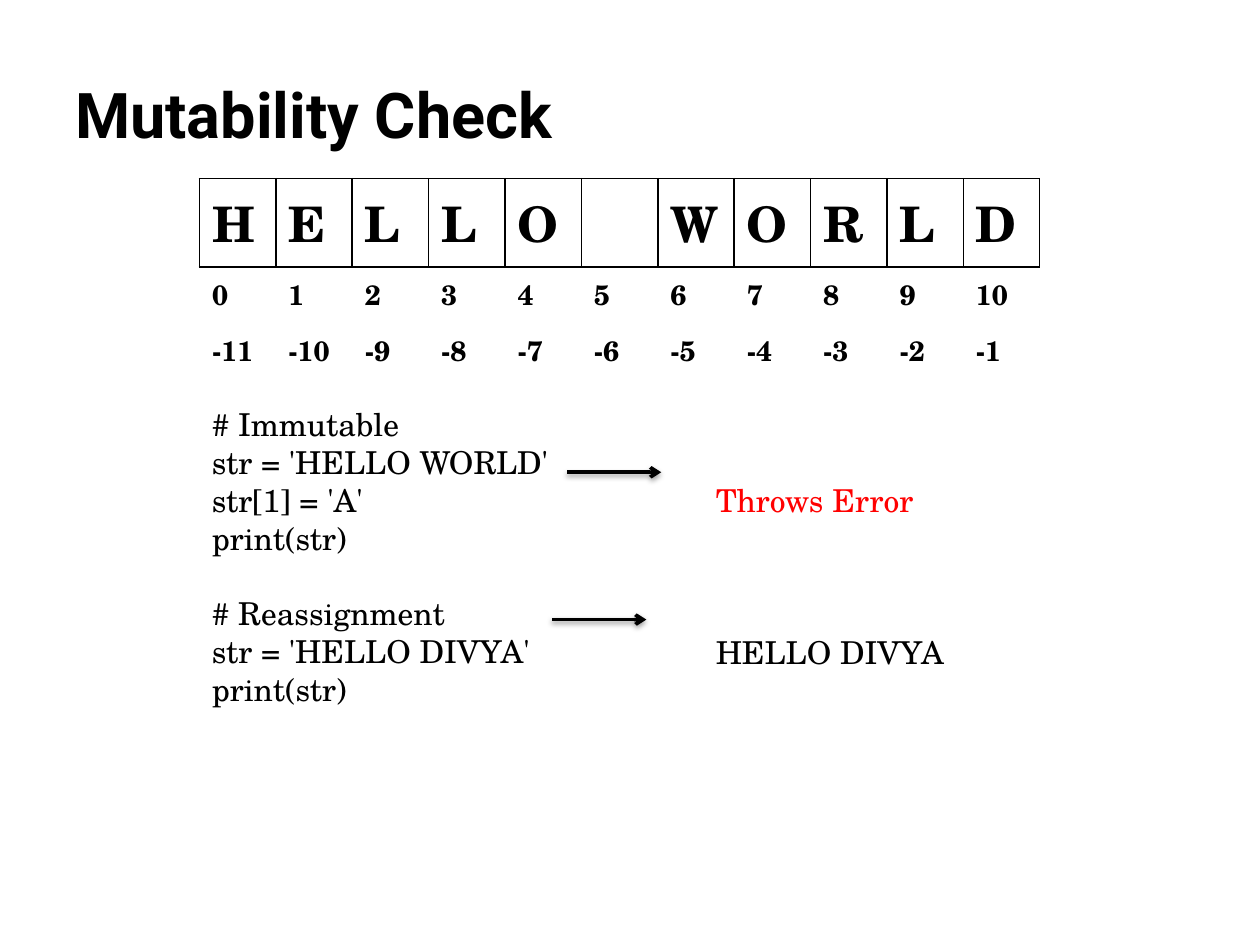
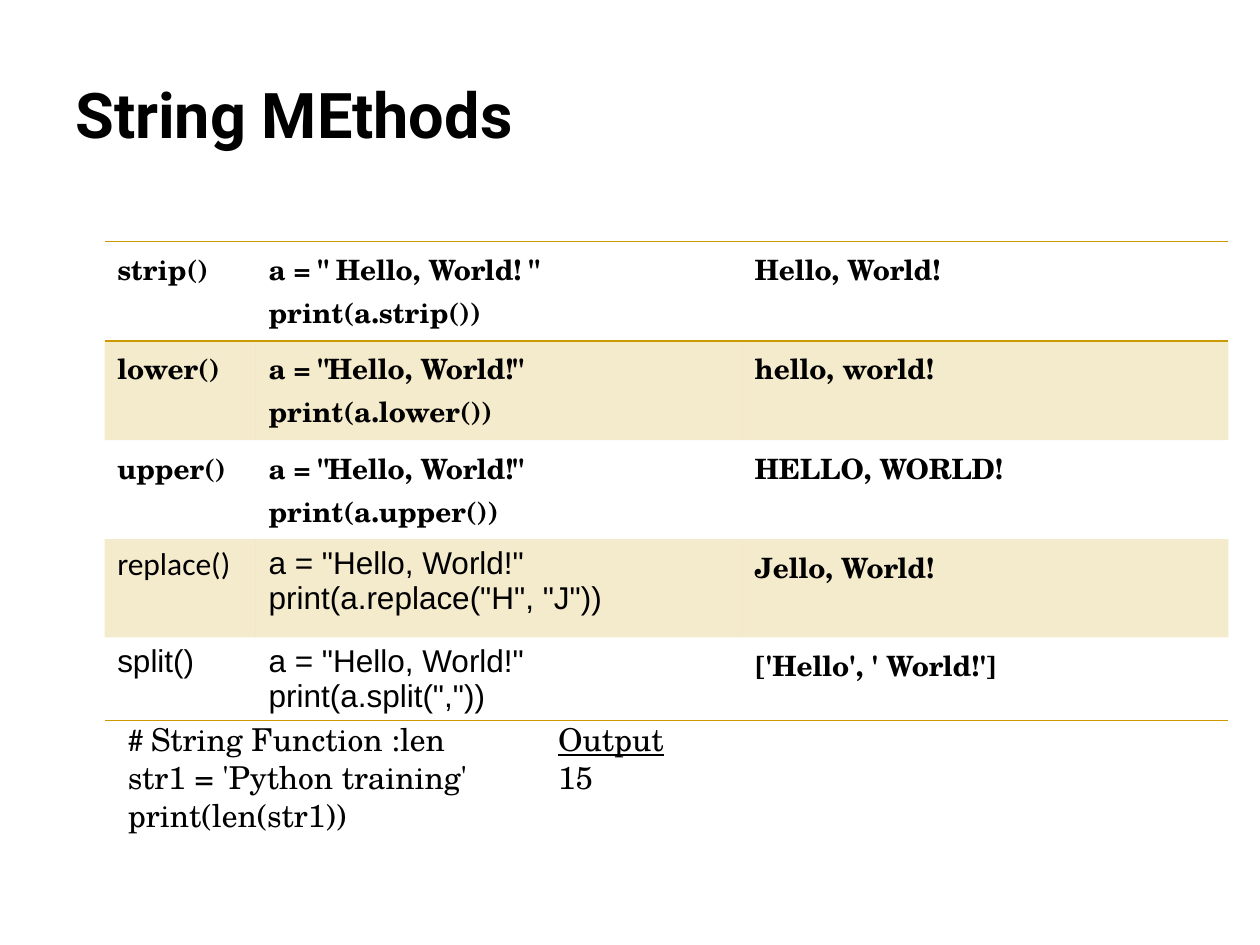
import collections

import pptx
import pptx.dml.color
import pptx.enum.shapes
import pptx.enum.text
import pptx.oxml
import pptx.oxml.ns
import pptx.util

Cm = pptx.util.Cm
Pt = pptx.util.Pt
RGBColor = pptx.dml.color.RGBColor

BLACK = RGBColor(0x00, 0x00, 0x00)
RED = RGBColor(0xFF, 0x00, 0x00)
GOLD = RGBColor(0xCC, 0x99, 0x00)

Look = collections.namedtuple("Look", "size face bold", defaults=(False,))
SERIF = "TeX Gyre Schola"
HEAD = Look(36, "Roboto", True)
CODE = Look(18, SERIF)
BIG = Look(28, SERIF, True)
SMALL = Look(16, SERIF, True)
SANS = Look(18, "Arial")
PLAIN = Look(18, "Calibri")
LINE = 21.6
SIDES = "LRTB"
NAMES = pptx.oxml.ns.nsdecls("a")


class Deck:
    """Holds the shared style and the current slide."""

    def __init__(self):
        self.show = pptx.Presentation()
        self.show.slide_width = Cm(25.4)
        self.show.slide_height = Cm(19.05)

    def page(self, title):
        self.slide = self.show.slides.add_slide(self.show.slide_layouts[6])
        frame = self.text(1.27, 0.2, 18.85, 2.97, title, HEAD)
        frame.auto_size = pptx.enum.text.MSO_AUTO_SIZE.NONE
        frame.vertical_anchor = pptx.enum.text.MSO_ANCHOR.BOTTOM

    def style(self, run, look):
        run.font.size = Pt(look.size)
        run.font.name = look.face
        run.font.bold = look.bold
        run.font.color.rgb = BLACK

    def fill(self, frame, words, look):
        frame.text = words
        for para in frame.paragraphs:
            for run in para.runs:
                self.style(run, look)

    def text(self, left, top, width, height, words, look=CODE):
        box = self.slide.shapes.add_textbox(Cm(left), Cm(top), Cm(width), Cm(height))
        frame = box.text_frame
        frame.word_wrap = True
        frame.auto_size = pptx.enum.text.MSO_AUTO_SIZE.SHAPE_TO_FIT_TEXT
        self.fill(frame, words, look)
        return frame

    def arrow(self, left, top, width):
        line = self.slide.shapes.add_connector(
            pptx.enum.shapes.MSO_CONNECTOR.STRAIGHT,
            Cm(left), Cm(top), Cm(left + width), Cm(top))
        line.line.color.rgb = BLACK
        line.line.width = Pt(2)
        props = line._element.spPr
        props.find(pptx.oxml.ns.qn("a:ln")).append(
            pptx.oxml.parse_xml(f'<a:tailEnd {NAMES} type="arrow"/>'))
        props.append(pptx.oxml.parse_xml(
            f'<a:effectLst {NAMES}><a:outerShdw blurRad="{Pt(3.1)}" dist="{Pt(1.6)}" '
            f'dir="5400000" rotWithShape="0"><a:srgbClr val="{BLACK}">'
            '<a:alpha val="38000"/></a:srgbClr></a:outerShdw></a:effectLst>'))

    def edge(self, cell, drawn, color):
        for side in SIDES:
            paint = "<a:noFill/>"
            if side in drawn:
                paint = f'<a:solidFill><a:srgbClr val="{color}"/></a:solidFill>'
            cell._tc.get_or_add_tcPr().append(pptx.oxml.parse_xml(
                f'<a:ln{side} {NAMES} w="{Pt(1)}">{paint}</a:ln{side}>'))

    def tint(self, cell, color):
        cell.fill.solid()
        cell.fill.fore_color.rgb = color
        shade = cell._tc.tcPr.find(pptx.oxml.ns.qn("a:solidFill"))
        shade[0].append(pptx.oxml.parse_xml(f'<a:alpha {NAMES} val="20000"/>'))

    def table(self, left, top, widths, heights, rows, looks, edges, color, bands=()):
        frame = self.slide.shapes.add_table(
            len(rows), len(widths), Cm(left), Cm(top), Cm(sum(widths)), Cm(sum(heights)))
        grid = frame.table
        grid.first_row = grid.horz_banding = False
        for col, width in zip(grid.columns, widths):
            col.width = Cm(width)
        for y, (row, height) in enumerate(zip(rows, heights)):
            grid.rows[y].height = Cm(height)
            for x, words in enumerate(row):
                cell = grid.cell(y, x)
                self.fill(cell.text_frame, words, looks[y][x])
                self.edge(cell, edges[y], color)
                if y in bands:
                    self.tint(cell, color)
                else:
                    cell.fill.background()


def check(deck):
    deck.page("Mutability Check")
    word = "HELLO WORLD"
    size = len(word)
    rows = [[sign.strip() for sign in word],
            [str(i) for i in range(size)],
            [str(i - size) for i in range(size)]]
    looks = [[BIG] * size, [SMALL] * size, [SMALL] * size]
    deck.table(4.02, 3.6, [1.54] * size, [1.76, 1.13, 1.13], rows, looks,
               [SIDES, "T", ""], BLACK)

    code = deck.text(4.02, 8.05, 9.73, 6.4,
                     "# Immutable\nstr = 'HELLO WORLD'\nstr[1] = 'A'\nprint(str)\n"
                     "# Reassignment\nstr = 'HELLO DIVYA'\nprint(str)")
    code.paragraphs[4].space_before = Pt(LINE)
    deck.arrow(11.43, 9.52, 1.9)

    out = deck.text(14.18, 9.58, 9.73, 4.07, "Throws Error\nHELLO DIVYA")
    fail, done = out.paragraphs
    fail.runs[0].font.color.rgb = RED
    done.space_before = Pt(3 * LINE)
    deck.arrow(11.13, 12.49, 1.9)


def methods(deck):
    deck.page("String MEthods")
    hello = 'a = "Hello, World!"\n'
    rows = [
        ("strip()", 'a = " Hello, World! "\nprint(a.strip())', "Hello, World!"),
        ("lower()", hello + "print(a.lower())", "hello, world!"),
        ("upper()", hello + "print(a.upper())", "HELLO, WORLD!"),
        ("replace()", hello + 'print(a.replace("H", "J"))', "Jello, World!"),
        ("split()", hello + 'print(a.split(","))', "['Hello', ' World!']"),
    ]
    looks = [[SMALL] * 3] * 3 + [[PLAIN, SANS, SMALL], [SANS, SANS, SMALL]]
    deck.table(2.11, 4.87, [3.05, 9.8, 9.8], [2, 2, 2, 1.98, 1.67], rows, looks,
               ["TB", "T", "", "", "B"], GOLD, bands=(1, 3))

    code = deck.text(2.33, 14.4, 7.62, 2.57,
                     "# \nstr1 = 'Python training'\nprint(len(str1))")
    first = code.paragraphs[0]
    deck.style(first.runs[0], PLAIN)
    note = first.add_run()
    note.text = "String Function :len"
    deck.style(note, CODE)

    out = deck.text(11, 14.4, 6.55, 1.8, "Output\n15")
    out.paragraphs[0].runs[0].font.underline = True


def main():
    deck = Deck()
    check(deck)
    methods(deck)
    deck.show.save("out.pptx")


if __name__ == "__main__":
    main()
